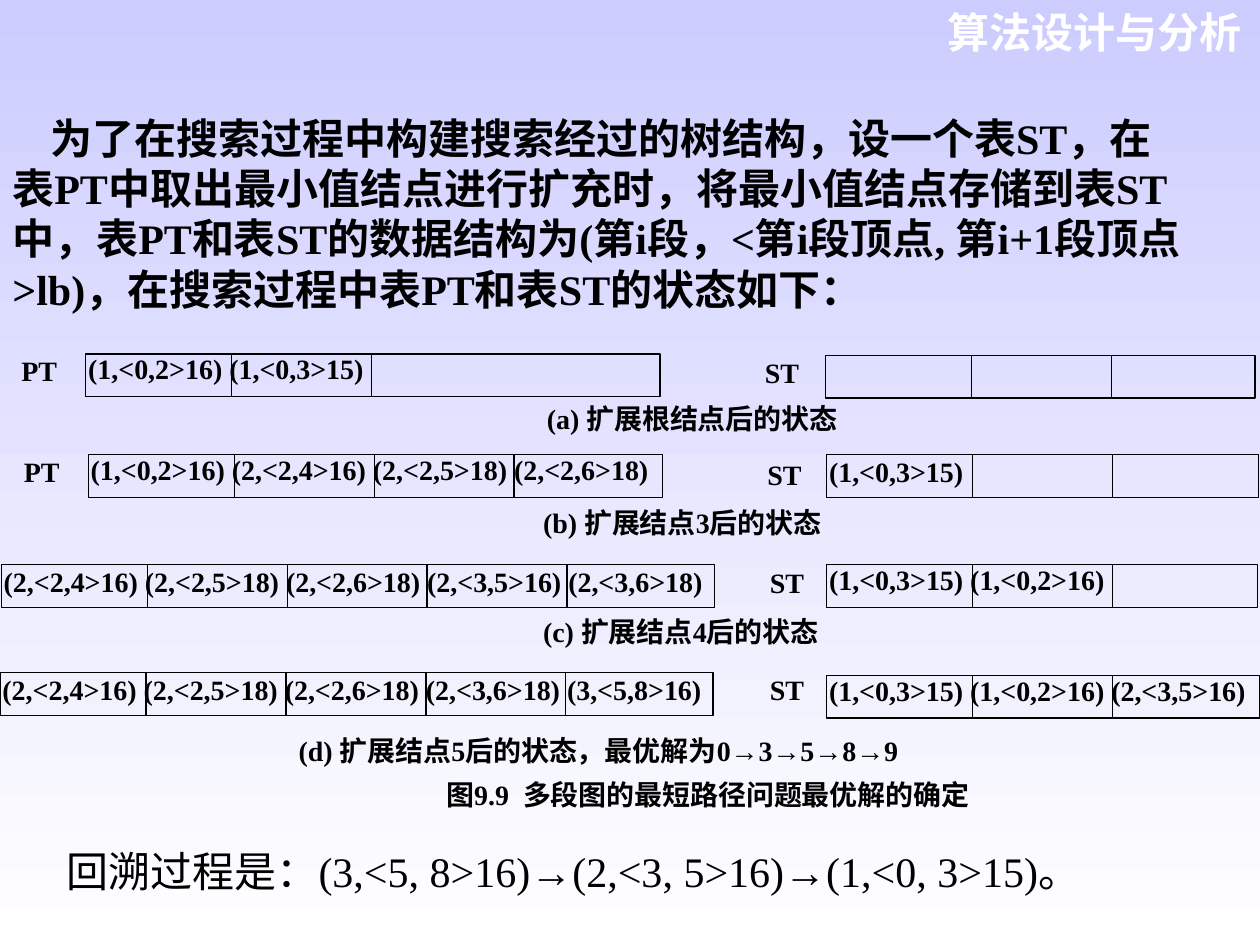
from lxml.etree import SubElement
from pptx import Presentation
from pptx.dml.color import RGBColor
from pptx.enum.shapes import MSO_CONNECTOR as Connector, MSO_SHAPE as Shape
from pptx.enum.text import MSO_ANCHOR as Anchor, PP_ALIGN as Align
from pptx.oxml.ns import qn
from pptx.util import Inches, Pt

LATIN_FONT = "Times New Roman"
CHINESE_FONT = "Noto Sans CJK SC"
CELL_HEIGHT = 0.34
FIRST_CELL = 1.16
NEXT_CELL = 1.11

INTRO = (
    "为了在搜索过程中构建搜索经过的树结构，设一个表ST，在表PT中取出最小值结点进行扩充时，"
    "将最小值结点存储到表ST中，表PT和表ST的数据结构为(第i段，<第i段顶点, 第i+1段顶点>lb)，"
    "在搜索过程中表PT和表ST的状态如下："
)

# left, top, width, dividers, line spacing, entries
TABLE_ROWS = [
    (0.68, 2.81, 4.56, 2, 0.96, ["(1,<0,2>16)", "(1,<0,3>15)"]),
    (6.55, 2.82, 3.41, 2, 1.0, []),
    (0.7, 3.61, 4.56, 3, 0.96, ["(1,<0,2>16)", "(2,<2,4>16)", "(2,<2,5>18)", "(2,<2,6>18)"]),
    (6.56, 3.61, 3.43, 2, 1.0, ["(1,<0,3>15)"]),
    (0.01, 4.48, 5.66, 4, 1.0,
     ["(2,<2,4>16)", "(2,<2,5>18)", "(2,<2,6>18)", "(2,<3,5>16)", "(2,<3,6>18)"]),
    (6.56, 4.48, 3.42, 2, 0.96, ["(1,<0,3>15)", "(1,<0,2>16)"]),
    (0, 5.34, 5.66, 4, 1.0,
     ["(2,<2,4>16)", "(2,<2,5>18)", "(2,<2,6>18)", "(2,<3,6>18)", "(3,<5,8>16)"]),
    (6.56, 5.36, 3.44, 2, 0.96, ["(1,<0,3>15)", "(1,<0,2>16)", "(2,<3,5>16)"]),
]

ROW_LABELS = [
    ("PT", 0.17, 2.81), ("ST", 6.07, 2.82),
    ("PT", 0.19, 3.61), ("ST", 6.09, 3.63),
    ("ST", 6.11, 4.49), ("ST", 6.11, 5.34),
]

CAPTIONS = [
    ("(a) 扩展根结点后的状态", 4.34, 3.19),
    ("(b) 扩展结点3后的状态", 4.31, 4.01),
    ("(c) 扩展结点4后的状态", 4.31, 4.88),
]


def color(value):
    return RGBColor.from_string(value)


def write_text(paragraph, text, size=16, bold=True, fill="000000", font=LATIN_FONT,
               align=Align.JUSTIFY, line_spacing=None, space_before=None, indent=0):
    paragraph.alignment = align
    if line_spacing:
        paragraph.line_spacing = line_spacing
    if space_before:
        paragraph.space_before = Pt(space_before)
    if indent:
        paragraph._p.get_or_add_pPr().set("indent", str(Inches(indent)))
    run = paragraph.add_run()
    run.text = text
    run.font.size = Pt(size)
    run.font.bold = bold
    run.font.name = font
    run.font.color.rgb = color(fill)
    east_asian = SubElement(run._r.get_or_add_rPr(), qn("a:ea"))
    east_asian.set("typeface", CHINESE_FONT)


def set_margins(frame, horizontal, vertical):
    frame.margin_left = frame.margin_right = Inches(horizontal)
    frame.margin_top = frame.margin_bottom = Inches(vertical)
    frame.vertical_anchor = Anchor.TOP
    frame.word_wrap = True


def add_text(slide, text, left, top, width, height, margins=(0, 0), **style):
    box = slide.shapes.add_textbox(Inches(left), Inches(top), Inches(width), Inches(height))
    set_margins(box.text_frame, *margins)
    write_text(box.text_frame.paragraphs[0], text, **style)
    return box


def add_divider(slide, x, top):
    line = slide.shapes.add_connector(
        Connector.STRAIGHT, Inches(x), Inches(top), Inches(x), Inches(top + CELL_HEIGHT))
    line.line.color.rgb = color("000000")
    line.line.width = Pt(0.75)
    SubElement(line._element.spPr, qn("a:effectLst"))


def add_table_row(slide, left, top, width, dividers, line_spacing, entries):
    row = slide.shapes.add_shape(
        Shape.RECTANGLE, Inches(left), Inches(top), Inches(width), Inches(CELL_HEIGHT))
    row.shadow.inherit = False
    row.fill.background()
    row.line.color.rgb = color("000000")
    row.line.width = Pt(0.75)
    if entries:
        set_margins(row.text_frame, 0, 0)
        row.text_frame.margin_left = Inches(0.02)
        write_text(row.text_frame.paragraphs[0], " ".join(entries), line_spacing=line_spacing)
    for index in range(dividers):
        add_divider(slide, left + FIRST_CELL + index * NEXT_CELL, top)


def set_background(slide):
    fill = slide.background.fill
    fill.gradient()
    fill.gradient_angle = 270
    for stop, value in zip(fill.gradient_stops, ("CCCCFF", "FFFFFF")):
        stop.color.rgb = color(value)


def main():
    presentation = Presentation()
    presentation.slide_width = Inches(10)
    presentation.slide_height = Inches(7.5)
    slide = presentation.slides.add_slide(presentation.slide_layouts[6])
    set_background(slide)

    padded = (0.1, 0.05)
    add_text(slide, "算法设计与分析", 7.24, 0, 2.71, 0.5, padded,
             size=24, fill="FFFFFF", font="Arial", align=Align.RIGHT)
    add_text(slide, INTRO, 0, 0.84, 9.5, 1.7, padded, size=24, align=Align.LEFT, indent=0.3)

    for row in TABLE_ROWS:
        add_table_row(slide, *row)
    for text, left, top in ROW_LABELS:
        add_text(slide, text, left, top, 0.34, 0.36)
    for text, left, top in CAPTIONS:
        add_text(slide, text, left, top, 3.21, 0.36)

    conclusion = add_text(slide, "(d) 扩展结点5后的状态，最优解为0→3→5→8→9", 2.37, 5.82, 6.5, 0.81)
    write_text(conclusion.text_frame.add_paragraph(), "图9.9  多段图的最短路径问题最优解的确定",
               align=Align.CENTER, space_before=6)
    add_text(slide, "回溯过程是：(3,<5, 8>16)→(2,<3, 5>16)→(1,<0, 3>15)。",
             0.43, 6.66, 9.17, 0.5, padded, size=24, bold=False)

    presentation.save("out.pptx")


if __name__ == "__main__":
    main()
